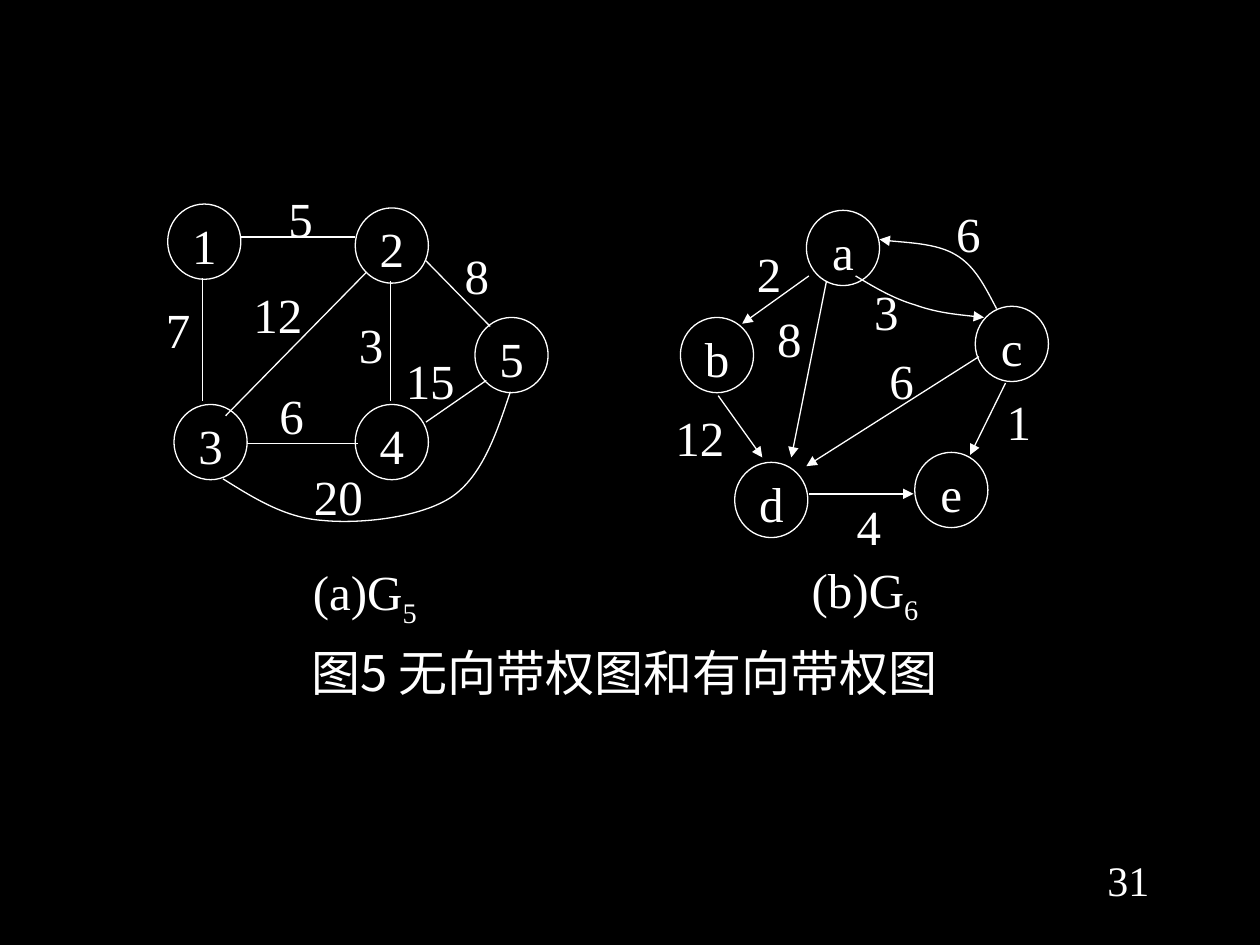
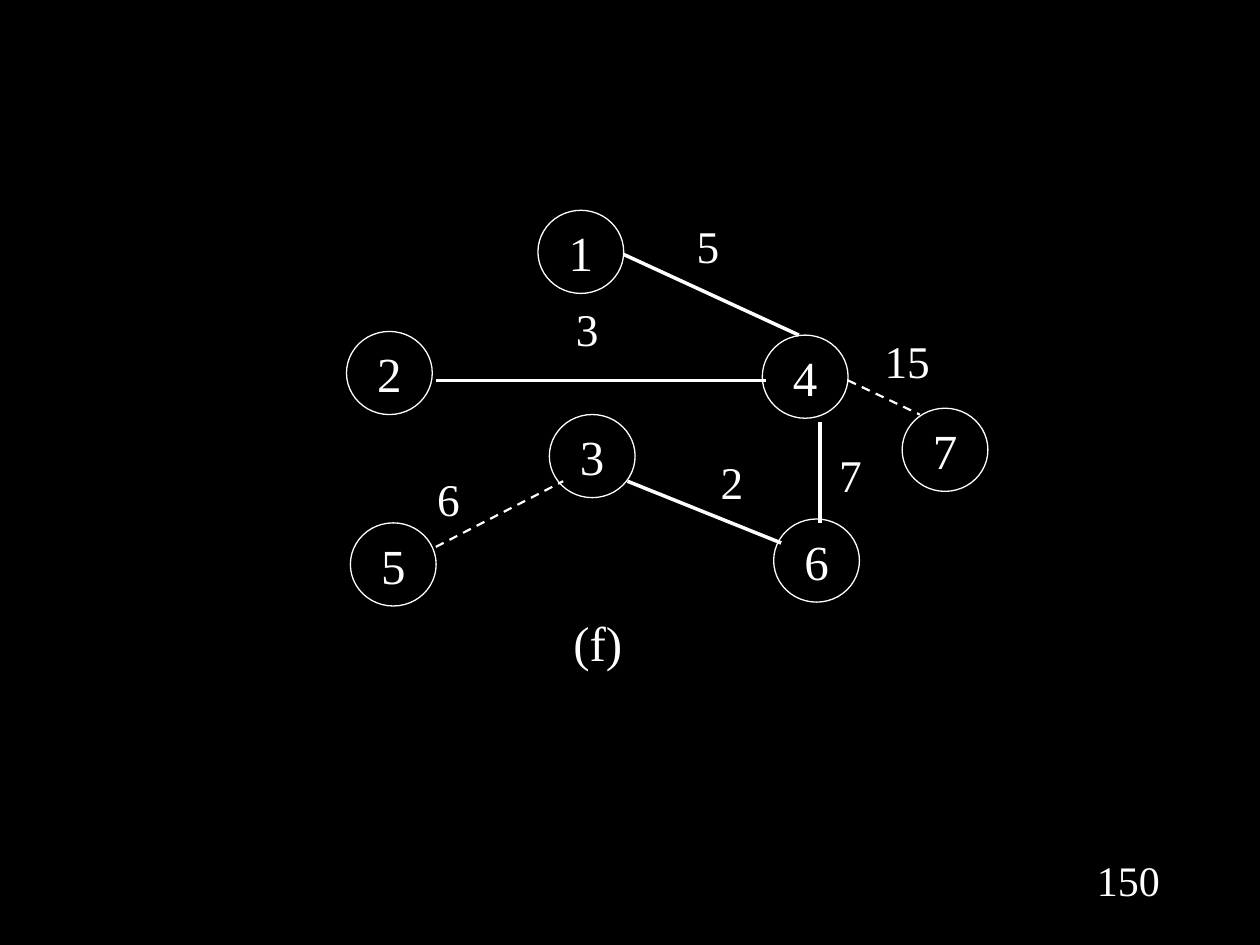
from dataclasses import dataclass

from lxml import etree
from pptx import Presentation
from pptx.dml.color import RGBColor
from pptx.enum.dml import MSO_LINE
from pptx.enum.shapes import MSO_CONNECTOR, MSO_SHAPE
from pptx.enum.text import MSO_ANCHOR, PP_ALIGN
from pptx.oxml.ns import qn
from pptx.util import Pt

# Shared style
COLORS = {"background": "000000", "ink": "FFFFFF"}
LATIN_FONT = "Times New Roman"
CHINESE_FONT = "Noto Sans CJK SC"
TEXT_SIZE = 28
THIN = 0.75
ELLIPSE = MSO_SHAPE.OVAL
STRAIGHT = MSO_CONNECTOR.STRAIGHT
DASH = MSO_LINE.DASH
CENTER = PP_ALIGN.CENTER
TOP = MSO_ANCHOR.TOP
BLANK_LAYOUT = 6


@dataclass(frozen=True)
class Mark:
    """A node name or an edge weight, placed by its top left corner."""
    text: str
    left: float
    top: float


@dataclass(frozen=True)
class Style:
    """Sizes that one slide's nodes and weights share."""
    node_size: tuple[float, float]
    weight_size: tuple[float, float]
    weight_font: float = TEXT_SIZE
    weight_spacing: float = 1.0


@dataclass(frozen=True)
class Edge:
    start: tuple[float, float]
    end: tuple[float, float]
    width: float = THIN
    arrow: bool = False
    dashed: bool = False


@dataclass(frozen=True)
class Curve:
    """A start point followed by three points for each Bézier piece."""
    points: tuple[tuple[float, float], ...]
    arrow: bool = False


@dataclass(frozen=True)
class Caption:
    text: str
    left: float
    top: float
    width: float
    height: float
    subscript: str = ""
    font: str = LATIN_FONT


def color(name: str) -> RGBColor:
    return RGBColor.from_string(COLORS[name])


def add_run(paragraph, text: str, size: float, font: str = LATIN_FONT):
    run = paragraph.add_run()
    run.text = text
    run.font.size = Pt(size)
    run.font.name = font
    run.font.color.rgb = color("ink")
    etree.SubElement(run._r.get_or_add_rPr(), qn("a:ea"), typeface=font)
    return run


def prepare_text(shape, margins: tuple[float, float] = (0, 0)):
    """Set up the frame of a shape and return its first paragraph."""
    frame = shape.text_frame
    frame.word_wrap = True
    frame.vertical_anchor = TOP
    frame.margin_left = frame.margin_right = Pt(margins[0])
    frame.margin_top = frame.margin_bottom = Pt(margins[1])
    paragraph = frame.paragraphs[0]
    paragraph.alignment = CENTER
    return paragraph


def style_line(shape, width: float, arrow: bool) -> None:
    shape.line.color.rgb = color("ink")
    shape.line.width = Pt(width)
    if arrow:
        line = shape.line._get_or_add_ln()
        etree.SubElement(line, qn("a:tailEnd"), type="triangle")


def add_box(slide, left: float, top: float, width: float, height: float):
    return slide.shapes.add_textbox(Pt(left), Pt(top), Pt(width), Pt(height))


def add_weight(slide, weight: Mark, style: Style) -> None:
    box = add_box(slide, weight.left, weight.top, *style.weight_size)
    paragraph = prepare_text(box)
    paragraph.line_spacing = style.weight_spacing
    add_run(paragraph, weight.text, style.weight_font)


def add_node(slide, node: Mark, style: Style) -> None:
    width, height = style.node_size
    shape = slide.shapes.add_shape(
        ELLIPSE, Pt(node.left), Pt(node.top), Pt(width), Pt(height))
    shape.shadow.inherit = False
    shape.fill.background()
    style_line(shape, THIN, False)
    add_run(prepare_text(shape), node.text, TEXT_SIZE)


def add_edge(slide, edge: Edge) -> None:
    ends = [Pt(value) for value in edge.start + edge.end]
    connector = slide.shapes.add_connector(STRAIGHT, *ends)
    if edge.dashed:
        connector.line.dash_style = DASH
    style_line(connector, edge.width, edge.arrow)
    etree.SubElement(connector._element.spPr, qn("a:effectLst"))


def add_curve(slide, curve: Curve) -> None:
    points = [(Pt(x), Pt(y)) for x, y in curve.points]
    builder = slide.shapes.build_freeform(*points[0])
    builder.add_line_segments(points[1:], close=False)
    shape = builder.convert_to_shape()
    shape.shadow.inherit = False
    shape.fill.background()
    style_line(shape, THIN, curve.arrow)
    # Join every three straight pieces into one cubic piece
    outline = next(shape._element.iter(qn("a:path")))
    pieces = outline.findall(qn("a:lnTo"))
    for index in range(0, len(pieces), 3):
        cubic = etree.SubElement(outline, qn("a:cubicBezTo"))
        for piece in pieces[index:index + 3]:
            cubic.append(piece[0])
            outline.remove(piece)


def add_caption(slide, caption: Caption) -> None:
    box = add_box(slide, caption.left, caption.top, caption.width, caption.height)
    paragraph = prepare_text(box)
    add_run(paragraph, caption.text, TEXT_SIZE, caption.font)
    if caption.subscript:
        run = add_run(paragraph, caption.subscript, TEXT_SIZE)
        run._r.get_or_add_rPr().set("baseline", "-25000")


def add_graph_slide(presentation, number: str, style: Style, weights, nodes,
                    edges, curves, captions) -> None:
    slide = presentation.slides.add_slide(
        presentation.slide_layouts[BLANK_LAYOUT])
    number_box = add_box(slide, 617.8, 484.6, 54, 36)
    add_run(prepare_text(number_box, (7.2, 3.6)), number, 24)
    for weight in weights:
        add_weight(slide, weight, style)
    for node in nodes:
        add_node(slide, node, style)
    for edge in edges:
        add_edge(slide, edge)
    for curve in curves:
        add_curve(slide, curve)
    for caption in captions:
        add_caption(slide, caption)


# Weighted graphs: undirected G5, then directed G6
WEIGHTED_STYLE = Style((41.8, 43), (35.3, 36))
WEIGHTED_WEIGHTS = [
    Mark("20", 175.7, 266.4),
    Mark("15", 228.2, 200.2),
    Mark("3", 194.4, 180),
    Mark("6", 149, 220.3),
    Mark("12", 141.1, 162.7),
    Mark("5", 154.1, 108),
    Mark("8", 254.9, 140.4),
    Mark("7", 84.2, 171.4),
    Mark("1", 564.5, 223.9),
    Mark("4", 478.8, 283.7),
    Mark("6", 497.5, 200.2),
    Mark("3", 488.9, 160.6),
    Mark("8", 433.4, 176.4),
    Mark("2", 421.9, 139),
    Mark("6", 535.7, 116.6),
    Mark("12", 382.3, 232.6),
]
WEIGHTED_NODES = [
    Mark("1", 95.8, 116.6),
    Mark("2", 203, 118.8),
    Mark("3", 99.4, 231.1),
    Mark("5", 271.4, 181.4),
    Mark("4", 203, 231.1),
    Mark("b", 388.8, 181.4),
    Mark("a", 460.8, 120.2),
    Mark("d", 419.8, 264.2),
    Mark("c", 557.3, 175),
    Mark("e", 522.7, 258.5),
]
WEIGHTED_EDGES = [
    Edge((137.5, 135.4), (203, 135.4)),
    Edge((141.1, 253.4), (204.5, 253.4)),
    Edge((115.9, 159.1), (115.9, 229)),
    Edge((223.2, 160.6), (223.2, 229)),
    Edge((209.5, 155.5), (128.9, 237.6)),
    Edge((243.4, 149), (280.1, 186.5)),
    Edge((243.4, 241.2), (277.9, 217.4)),
    Edge((462.2, 157.7), (424.1, 185), arrow=True),
    Edge((410.4, 226.1), (435.6, 261.4), arrow=True),
    Edge((574.6, 218.9), (554.4, 259.9), arrow=True),
    Edge((559.4, 203.8), (460.8, 266.4), arrow=True),
    Edge((472.3, 160.6), (452.2, 261.4), arrow=True),
    Edge((462.2, 282.2), (522, 282.2), width=1, arrow=True),
]
WEIGHTED_CURVES = [
    Curve(((127.4, 273.6),
           (144.7, 284.4), (162.7, 295.9), (184.3, 297.4),
           (205.9, 299.5), (240.5, 295.9), (258.5, 283.7),
           (275.8, 271.4), (283.7, 247.7), (291.6, 223.9))),
    Curve(((569.5, 176.4),
           (563, 164.2), (557.3, 151.9), (545.8, 145.4),
           (535, 139), (509, 138.2), (502.6, 136.8)), arrow=True),
    Curve(((488.9, 157.7),
           (499.7, 164.2), (510.5, 170.6), (522.7, 174.2),
           (535, 178.6), (548.6, 180), (562.3, 181.4)), arrow=True),
]
WEIGHTED_CAPTIONS = [
    Caption("(a)G", 154.1, 321.1, 108.7, 41, subscript="5"),
    Caption("(b)G", 439.9, 319.7, 108.7, 41, subscript="6"),
    Caption("图5 无向带权图和有向带权图", 112.3, 367.2, 488.9, 42.5,
            font=CHINESE_FONT),
]

# Spanning tree step (f)
TREE_STYLE = Style((49, 47.5), (44.6, 31.7), 25.9, 0.9)
TREE_WEIGHTS = [
    Mark("7", 463.7, 259.2),
    Mark("2", 396, 262.8),
    Mark("6", 234, 272.9),
    Mark("15", 496.1, 193.7),
    Mark("3", 313.2, 175.7),
    Mark("5", 382.3, 128.2),
]
TREE_NODES = [
    Mark("1", 307.4, 120.2),
    Mark("2", 198, 189.4),
    Mark("7", 515.5, 233.3),
    Mark("4", 435.6, 191.5),
    Mark("5", 200.2, 298.8),
    Mark("3", 313.9, 236.9),
    Mark("6", 442.1, 296.6),
]
TREE_EDGES = [
    Edge((356.4, 145.4), (456.5, 191.5), 2),
    Edge((468.7, 241.2), (468.7, 298.8), 2),
    Edge((249.1, 217.4), (437.8, 217.4), 2),
    Edge((358.6, 275), (446.4, 310.3), 2),
    Edge((249.1, 312.5), (321.8, 275), 1.25, dashed=True),
    Edge((484.6, 217.4), (525.6, 236.9), 1.25, dashed=True),
]
TREE_CAPTIONS = [Caption("(f)", 303.1, 349.9, 77, 33.8)]


def main() -> None:
    presentation = Presentation()
    presentation.slide_width, presentation.slide_height = Pt(720), Pt(540)
    background = presentation.slide_master.background.fill
    background.solid()
    background.fore_color.rgb = color("background")
    add_graph_slide(presentation, "31", WEIGHTED_STYLE, WEIGHTED_WEIGHTS,
                    WEIGHTED_NODES, WEIGHTED_EDGES, WEIGHTED_CURVES,
                    WEIGHTED_CAPTIONS)
    add_graph_slide(presentation, "150", TREE_STYLE, TREE_WEIGHTS, TREE_NODES,
                    TREE_EDGES, [], TREE_CAPTIONS)
    presentation.save("out.pptx")


if __name__ == "__main__":
    main()
